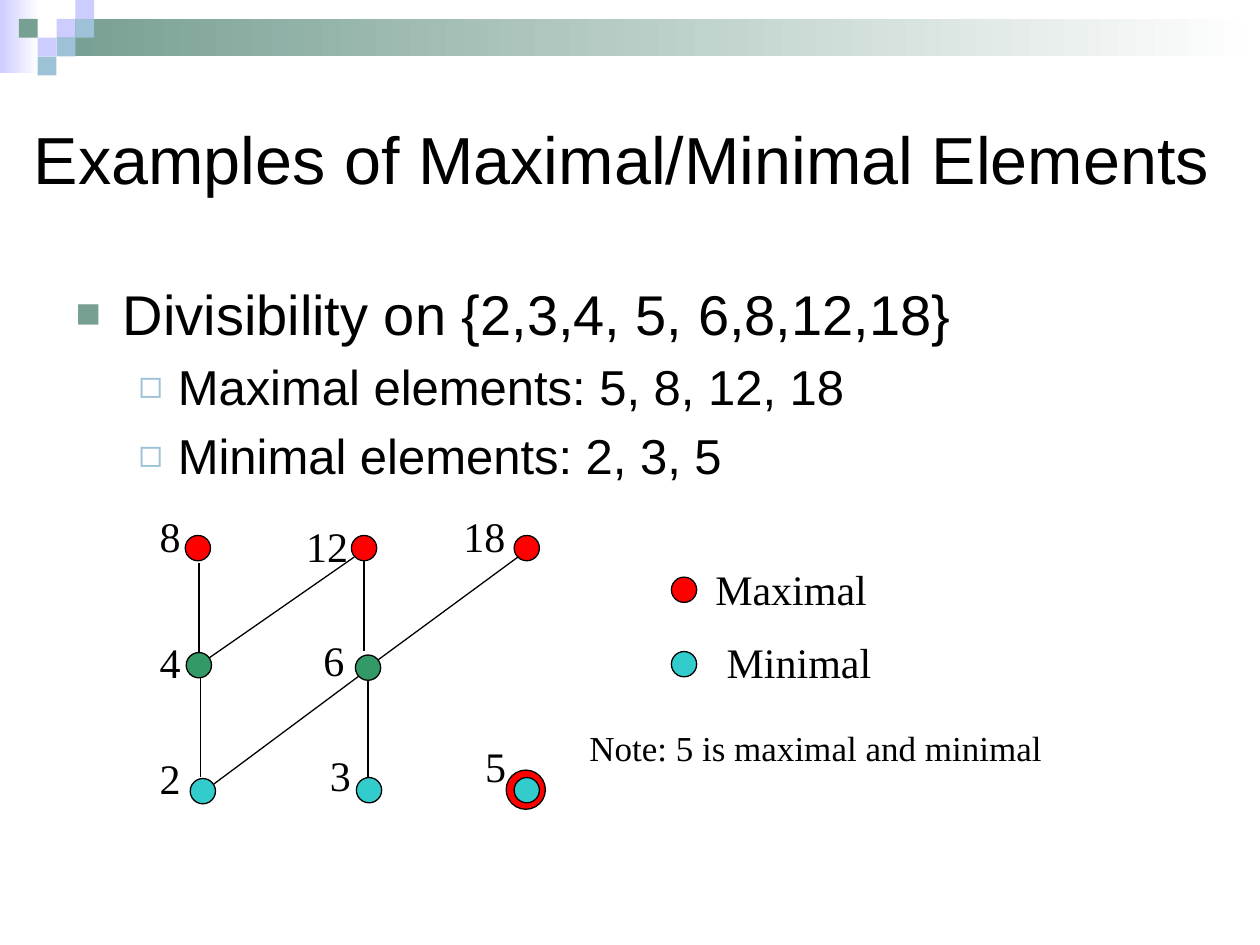
import pptx
import pptx.util
import pptx.dml.color
import pptx.enum.shapes
import pptx.enum.text
import pptx.oxml
import pptx.oxml.ns
from lxml import etree

Cm, Pt = pptx.util.Cm, pptx.util.Pt
SHAPE = pptx.enum.shapes.MSO_SHAPE
COLORS = {
    "ink": "000000", "white": "FFFFFF", "lavender": "CCCCFF",
    "sage": "779F92", "sky": "9DC2D7",
    "maximal": "FF0000", "minimal": "33CCCC", "middle": "339966",
}
DOT = 0.51
SQUARE = 0.38
SQUARES = [(3, 1, "lavender"), (4, 0, "lavender"), (4, 1, "sky"), (2, 2, "lavender"),
           (1, 1, "sage"), (3, 2, "sky"), (2, 3, "sky")]
NODES = [
    ("8", (3.99, 11.05), "maximal", (2.97, 10.16, 2.54)),
    ("12", (7.34, 11.05), "maximal", (5.92, 10.36, 2.74)),
    ("18", (10.62, 11.05), "maximal", (9.09, 10.16, 2.54)),
    ("4", (4.01, 13.41), "middle", (2.97, 12.7, 1.9)),
    ("6", (7.42, 13.46), "middle", (6.27, 12.67, 1.7)),
    ("2", (4.09, 15.95), "minimal", (2.97, 15.04, 1.7)),
    ("3", (7.44, 15.93), "minimal", (6.4, 14.99, 1.07)),
    ("5", (10.62, 15.93), "minimal", (9.53, 14.81, 1.27)),
    ("Maximal", (13.79, 11.89), "maximal", (14.17, 11.23, 6.78)),
    ("Minimal", (13.79, 13.39), "minimal", (14.4, 12.7, 6.78)),
]
EDGES = [
    (4.01, 11.35, 4.01, 13.18), (7.34, 11.3, 7.34, 13.13),
    (4.04, 13.67, 4.04, 15.67), (7.42, 13.69, 7.42, 15.72),
    (4.22, 13.26, 7.14, 11.23), (7.57, 13.34, 10.44, 11.23),
    (4.29, 15.82, 7.26, 13.61),
]
POINTS = [
    ("Divisibility on {2,3,4, 5, 6,8,12,18}", 0, 32),
    ("Maximal elements: 5, 8, 12, 18", 1, 28),
    ("Minimal elements: 2, 3, 5", 1, 28),
]
BULLETS = [("■", "sage", 75, 0.95, -0.95), ("◻", "sky", 80, 2.06, -0.79)]


def rgb(name):
    """Return the named colour."""
    return pptx.dml.color.RGBColor.from_string(COLORS[name])


def write(paragraph, text, size=24, font="Times New Roman", color="ink", before=0):
    """Write formatted, left-aligned text into a paragraph."""
    paragraph.alignment = pptx.enum.text.PP_ALIGN.LEFT
    paragraph.space_before = Pt(before)
    run = paragraph.add_run()
    run.text = text
    run.font.size = Pt(size)
    run.font.name = font
    run.font.color.rgb = rgb(color)


def place(shape, left, top, width, height):
    """Move and size a placeholder."""
    shape.left, shape.top, shape.width, shape.height = map(Cm, (left, top, width, height))


def add_label(slide, text, left, top, width, **style):
    """Add a wrapped text label."""
    label = slide.shapes.add_textbox(Cm(left), Cm(top), Cm(width), Cm(1.27))
    label.text_frame.word_wrap = True
    write(label.text_frame.paragraphs[0], text, **style)


def add_block(slide, left, top, width, height, color, fade=False):
    """Add a borderless rectangle, optionally fading to white."""
    block = slide.shapes.add_shape(SHAPE.RECTANGLE, Cm(left), Cm(top), Cm(width), Cm(height))
    block.shadow.inherit = False
    block.line.fill.background()
    if fade:
        block.fill.gradient()
        block.fill.gradient_angle = 0
        for stop, name in zip(block.fill.gradient_stops, (color, "white")):
            stop.color.rgb = rgb(name)
    else:
        block.fill.solid()
        block.fill.fore_color.rgb = rgb(color)


def add_dot(slide, center, color, size=DOT):
    """Add an outlined circle around a centre."""
    left, top = (Cm(value - size / 2) for value in center)
    dot = slide.shapes.add_shape(SHAPE.OVAL, left, top, Cm(size), Cm(size))
    dot.shadow.inherit = False
    dot.fill.solid()
    dot.fill.fore_color.rgb = rgb(color)
    dot.line.color.rgb = rgb("ink")
    dot.line.width = Pt(0.75)


def add_edge(slide, ends):
    """Add a thin straight line of the diagram."""
    edge = slide.shapes.add_connector(pptx.enum.shapes.MSO_CONNECTOR.STRAIGHT, *map(Cm, ends))
    edge.line.color.rgb = rgb("ink")
    edge.line.width = Pt(0.75)
    etree.SubElement(edge._element.spPr, pptx.oxml.ns.qn("a:effectLst"))


def set_bullet(paragraph, char, color, percent, margin, indent):
    """Give a paragraph its bullet and hanging indent."""
    properties = paragraph._p.get_or_add_pPr()
    properties.set("marL", str(Cm(margin)))
    properties.set("indent", str(Cm(indent)))
    qn = pptx.oxml.ns.qn
    bullet_color = etree.SubElement(properties, qn("a:buClr"))
    etree.SubElement(bullet_color, qn("a:srgbClr"), val=COLORS[color])
    etree.SubElement(properties, qn("a:buSzPct"), val=str(percent * 1000))
    etree.SubElement(properties, qn("a:buFont"), typeface="Arial")
    etree.SubElement(properties, qn("a:buChar"), char=char)


def add_header(slide):
    """Draw the fading band and its squares."""
    add_block(slide, 0, 0, 0.79, 1.47, "lavender", fade=True)
    add_block(slide, 1.14, 0.38, 24.26, 0.76, "sage", fade=True)
    for column, row, color in SQUARES:
        add_block(slide, column * SQUARE, row * SQUARE, SQUARE, SQUARE, color)


def fill_title(title):
    """Write the slide title."""
    place(title, 0.43, 2.26, 24.46, 1.85)
    title.text_frame.auto_size = pptx.enum.text.MSO_AUTO_SIZE.NONE
    title.text_frame.vertical_anchor = pptx.enum.text.MSO_ANCHOR.MIDDLE
    write(title.text_frame.paragraphs[0], "Examples of Maximal/Minimal Elements",
          size=38, font="Arial")


def fill_body(body):
    """Write the bulleted list."""
    place(body, 1.27, 5.51, 22.86, 10.8)
    frame = body.text_frame
    frame.auto_size = pptx.enum.text.MSO_AUTO_SIZE.NONE
    for index, (text, level, size) in enumerate(POINTS):
        paragraph = frame.add_paragraph() if index else frame.paragraphs[0]
        paragraph.level = level
        write(paragraph, text, size=size, font="Arial", before=size * 0.2)
        set_bullet(paragraph, *BULLETS[level])


def add_diagram(slide):
    """Draw the Hasse diagram with its key and note."""
    add_dot(slide, (10.6, 15.92), "maximal", size=0.79)
    for edge in EDGES:
        add_edge(slide, edge)
    for text, center, color, label_at in NODES:
        add_dot(slide, center, color)
        add_label(slide, text, *label_at)
    add_label(slide, "Note: 5 is maximal and minimal", 11.63, 14.53, 11, size=20)


def main():
    """Build and save the slide."""
    deck = pptx.Presentation()
    deck.slide_width, deck.slide_height = Cm(25.4), Cm(19.05)
    slide = deck.slides.add_slide(deck.slide_layouts[1])
    add_header(slide)
    fill_title(slide.shapes.title)
    fill_body(slide.placeholders[1])
    add_diagram(slide)
    deck.save("out.pptx")


main()
